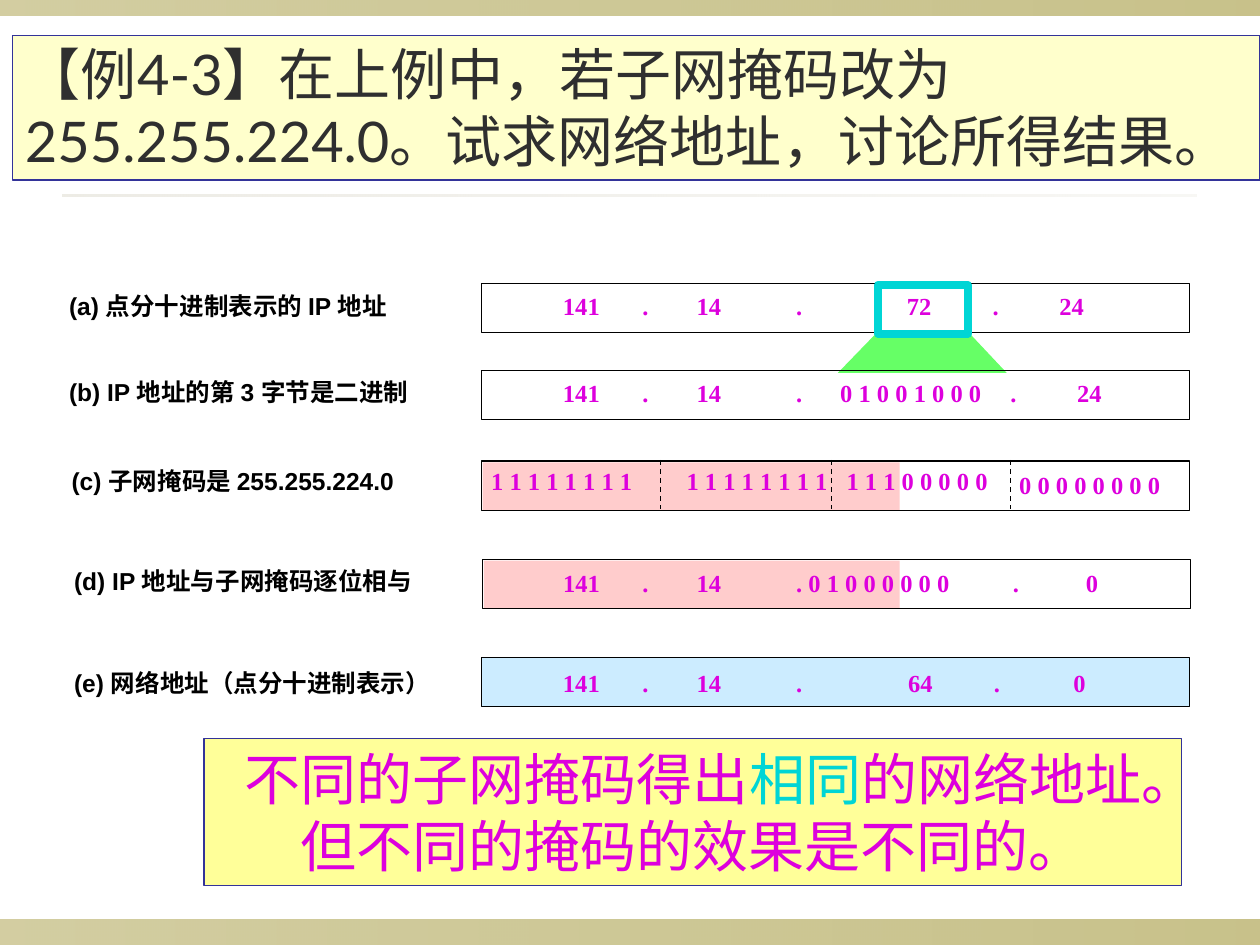
from pptx import Presentation
from pptx import util as u
from pptx.dml.color import RGBColor
from pptx.enum import dml, shapes, text
from pptx.oxml import parse_xml
from pptx.oxml.ns import nsdecls, qn
from lxml import etree

THEME = dict(
    olive="918415", sand="DCD9CC", ink="2F2F2F", black="000000",
    pink="FFCCCC", green="66FF66", sky="CCECFF", cream="FFFFCC",
    lemon="FFFF99", navy="333399", magenta="DD00DD", cyan="00D5D5",
    body=14, head=32, sans="Arial", serif="Times New Roman",
    title="Lato", note="Cabin", thin=0.75, thick=4.5)

BANDS = [
    ((0, 7.3, 10, 0.2), "olive", (40, 50)),
    ((0, 0, 10, 0.12), "olive", (40, 50)),
    ((0.5, 1.54, 9, 0.02), "sand", (50, 20)),
]
TITLE = "【例4-3】在上例中，若子网掩码改为255.255.224.0。试求网络地址，讨论所得结果。"
NOTE = [
    [("不同的子网掩码得出", "magenta"), ("相同", "cyan"), ("的网络地址。", "magenta")],
    [("但不同的掩码的效果是不同的。", "magenta")],
]

HALF = (4.37, 0.01, 2.2, "141\t.\t14\t.", (0.63, 1.06, 1.85))
ROWS = [
    dict(top=2.25, label="(a) 点分十进制表示的 IP 地址", at=(0.45, 2.26),
         parts=[HALF, (7.1, 0.01, 1.7, "72\t.\t24", (0.68, 1.21))]),
    dict(top=2.94, label="(b) IP 地址的第 3 字节是二进制", at=(0.45, 2.94),
         parts=[HALF, (6.57, 0.01, 1.42, "0 1 0 0 1 0 0 0", ()),
                (7.92, 0.01, 1.03, ".\t24", (0.53,))]),
    dict(top=3.66, label="(c) 子网掩码是 255.255.224.0", at=(0.47, 3.65), mask=True,
         parts=[(3.8, -0.01, 4.25, "1 1 1 1 1 1 1 1\t1 1 1 1 1 1 1 1\t1 1 1 0 0 0 0 0",
                 (1.55, 2.82)),
                (7.99, 0.02, 1.42, "0 0 0 0 0 0 0 0", ())]),
    dict(top=4.44, label="(d) IP 地址与子网掩码逐位相与", at=(0.49, 4.44), left=3.83, mask=True,
         parts=[(4.37, 0.02, 3.42, "141\t.\t14\t. 0 1 0 0 0 0 0 0", (0.63, 1.06, 1.85)),
                (7.94, 0.02, 0.98, ".\t0", (0.58,))]),
    dict(top=5.22, label="(e) 网络地址（点分十进制表示）", at=(0.49, 5.25), fill="sky",
         parts=[(4.37, 0.03, 2.2, "141\t.\t14\t.", (0.63, 1.06, 1.85)),
                (7.11, 0.03, 1.71, "64\t.\t0", (0.68, 1.31))]),
]
FRAME = dict(left=3.82, width=5.62, height=0.39)
MASK = 7.14
CUTS = [5.24, 6.6, 8.02]
BYTE = (6.97, 2.26, 0.71, 0.39)
FAN = [(6.97, 2.63), (7.68, 2.63), (7.99, 2.96), (6.65, 2.96)]

prs = Presentation()
prs.slide_width, prs.slide_height = u.Inches(10), u.Inches(7.5)
slide = prs.slides.add_slide(prs.slide_layouts[6])
pool = slide.shapes


def tint(name):
    return RGBColor.from_string(THEME[name])


def paint(shape, fill=None, line=None, width="thin"):
    shape.shadow.inherit = False
    if fill:
        shape.fill.solid()
        shape.fill.fore_color.rgb = tint(fill)
    else:
        shape.fill.background()
    if line:
        shape.line.color.rgb = tint(line)
        shape.line.width = u.Pt(THEME[width])
    else:
        shape.line.fill.background()
    return shape


def rect(at, **look):
    shape = pool.add_shape(shapes.MSO_SHAPE.RECTANGLE, *map(u.Inches, at))
    return paint(shape, **look)


def band(at, color, alphas):
    shape = rect(at)
    shape.fill.gradient()
    shape.fill.gradient_angle = 0
    for stop, place in zip(shape.fill.gradient_stops, (0, 1)):
        stop.color.rgb = tint(color)
        stop.position = place
    for node, alpha in zip(shape.fill._xPr.iter(qn("a:srgbClr")), alphas):
        etree.SubElement(node, qn("a:alpha")).set("val", str(alpha * 1000))


def write(shape, lines, font, size="body", bold=False, tabs=(), align="LEFT", anchor="TOP"):
    frame = shape.text_frame
    frame.word_wrap = True
    frame.vertical_anchor = getattr(text.MSO_ANCHOR, anchor)
    for i, runs in enumerate(lines):
        para = frame.paragraphs[0] if i == 0 else frame.add_paragraph()
        para.alignment = getattr(text.PP_ALIGN, align)
        if tabs:
            stops = "".join(f'<a:tab pos="{u.Inches(x)}" algn="l"/>' for x in tabs)
            para._p.get_or_add_pPr().append(
                parse_xml(f'<a:tabLst {nsdecls("a")}>{stops}</a:tabLst>'))
        for words, color in runs:
            run = para.add_run()
            run.text = words
            run.font.name = THEME[font]
            run.font.size = u.Pt(THEME[size])
            run.font.bold = bold
            run.font.color.rgb = tint(color)


def box(x, y, width, words, color, **form):
    shape = pool.add_textbox(*map(u.Inches, (x, y, width, 0.33)))
    write(shape, [[(words, color)]], bold=True, **form)


def cut(x, top):
    line = pool.add_connector(shapes.MSO_CONNECTOR.STRAIGHT, *map(
        u.Inches, (x, top, x, top + FRAME["height"])))
    line.line.color.rgb = tint("black")
    line.line.width = u.Pt(THEME["thin"])
    line.line.dash_style = dml.MSO_LINE.DASH
    etree.SubElement(line._element.spPr, qn("a:effectLst"))


for item in BANDS:
    band(*item)

head = rect((0.1, 0.28, 9.9, 1.15), fill="cream", line="navy")
write(head, [[(TITLE, "ink")]], "title", size="head", anchor="BOTTOM")

pen = pool.build_freeform(*map(u.Inches, FAN[0]), scale=1.0)
pen.add_line_segments([tuple(map(u.Inches, spot)) for spot in FAN[1:]], close=True)
paint(pen.convert_to_shape(), fill="green")

for row in ROWS:
    left, top = row.get("left", FRAME["left"]), row["top"]
    if row.get("mask"):
        rect((left + 0.01, top + 0.01, MASK - left - 0.01, 0.38), fill="pink")
    rect((left, top, FRAME["width"], FRAME["height"]), fill=row.get("fill"), line="black")
    box(*row["at"], 3.3, row["label"], "black", font="sans")
    for x, drop, width, words, tabs in row["parts"]:
        box(x, top + drop, width, words, "magenta", font="serif", tabs=tabs)

for x in CUTS:
    cut(x, 3.65)

rect(BYTE, line="cyan", width="thick")
note = rect((1.62, 5.86, 7.76, 1.17), fill="lemon", line="navy")
write(note, NOTE, "note", size="head", align="CENTER")

prs.save("out.pptx")
